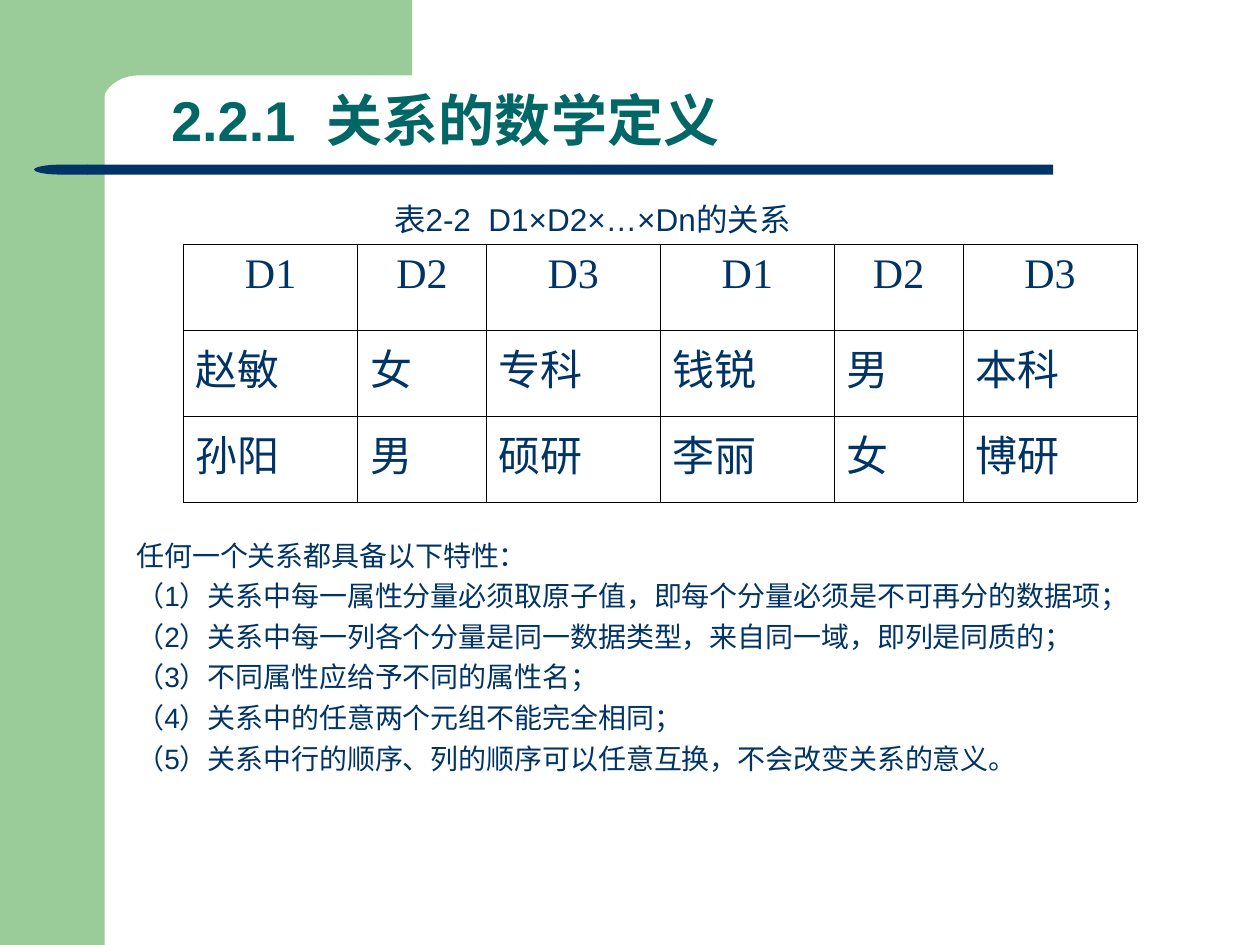
"""Builds a slide on the mathematical definition of a relation."""
import math

import lxml.etree
import pptx
import pptx.dml.color
import pptx.enum.shapes
import pptx.enum.text
import pptx.oxml.ns
import pptx.util

Cm = pptx.util.Cm
Pt = pptx.util.Pt
SHAPES = pptx.enum.shapes.MSO_SHAPE
ALIGN = pptx.enum.text.PP_ALIGN
ANCHOR = pptx.enum.text.MSO_ANCHOR

COLORS = {"green": "99CC99", "navy": "003366", "teal": "006666", "border": "000000"}
TITLE = "2.2.1  关系的数学定义"
CAPTION = "表2-2  D1×D2×…×Dn的关系"
RELATION = [
    ["D1", "D2", "D3", "D1", "D2", "D3"],
    ["赵敏", "女", "专科", "钱锐", "男", "本科"],
    ["孙阳", "男", "硕研", "李丽", "女", "博研"],
]
COLUMN_WIDTHS = [3.51, 2.59, 3.51] * 2
ROW_HEIGHT = 1.73
MIDDLE = 3
PROPERTIES = [
    "任何一个关系都具备以下特性：",
    "（1）关系中每一属性分量必须取原子值，即每个分量必须是不可再分的数据项；",
    "（2）关系中每一列各个分量是同一数据类型，来自同一域，即列是同质的；",
    "（3）不同属性应给予不同的属性名；",
    "（4）关系中的任意两个元组不能完全相同；",
    "（5）关系中行的顺序、列的顺序可以任意互换，不会改变关系的意义。",
]


def rgb(color):
    return pptx.dml.color.RGBColor.from_string(COLORS[color])


def paint(shape, color):
    shape.shadow.inherit = False
    shape.fill.solid()
    shape.fill.fore_color.rgb = rgb(color)
    shape.line.fill.background()


def add_block(shapes, preset, box, color):
    block = shapes.add_shape(preset, *map(Cm, box))
    paint(block, color)
    return block


def set_margins(target):
    target.margin_left = target.margin_right = Cm(0.25)
    target.margin_top = target.margin_bottom = Cm(0.13)


def style(paragraph, size, color="navy", font="Arial", bold=False):
    for run in paragraph.runs:
        run.font.size = Pt(size)
        run.font.name = font
        run.font.bold = bold
        run.font.color.rgb = rgb(color)


def add_text(slide, text, box, anchor, wrap=True):
    frame = slide.shapes.add_textbox(*map(Cm, box)).text_frame
    set_margins(frame)
    frame.word_wrap = wrap
    frame.vertical_anchor = anchor
    frame.text = text
    return frame


def add_border(cell, side, width):
    properties = cell._tc.get_or_add_tcPr()
    tag = pptx.oxml.ns.qn
    line = lxml.etree.SubElement(properties, tag("a:" + side), w=str(Pt(width)))
    fill = lxml.etree.SubElement(line, tag("a:solidFill"))
    lxml.etree.SubElement(fill, tag("a:srgbClr"), val=COLORS["border"])


def add_decoration(slide):
    add_block(slide.shapes, SHAPES.RECTANGLE, (0, 0, 2.11, 19.05), "green")
    curve = []
    for step in range(13):
        angle = math.pi / 2 * step / 12
        curve.append((2.8 - 0.74 * math.sin(angle), 2.12 - 0.6 * math.cos(angle)))
    outline = [(8.31, 1.52), *curve, (2.06, 2.31), (1.27, 2.31), (1.27, 0)]
    corner = slide.shapes.build_freeform(Cm(8.31), 0)
    corner.add_line_segments([(Cm(x), Cm(y)) for x, y in outline], close=True)
    paint(corner.convert_to_shape(), "green")

    rule = slide.shapes.add_group_shape().shapes
    bar = add_block(rule, SHAPES.ROUNDED_RECTANGLE, (1.75, 3.32, 19.48, 0.2), "navy")
    bar.adjustments[0] = 0
    tip = add_block(rule, SHAPES.FLOWCHART_DELAY, (0.69, 3.32, 1.08, 0.2), "navy")
    tip._element.spPr.xfrm.set("flipH", "1")


def add_relation(slide):
    box = (3.7, 4.93, sum(COLUMN_WIDTHS), ROW_HEIGHT * len(RELATION))
    table = slide.shapes.add_table(
        len(RELATION), len(COLUMN_WIDTHS), *map(Cm, box)
    ).table
    table.first_row = table.horz_banding = False
    for column, width in zip(table.columns, COLUMN_WIDTHS):
        column.width = Cm(width)
    for r, values in enumerate(RELATION):
        table.rows[r].height = Cm(ROW_HEIGHT)
        for c, value in enumerate(values):
            cell = table.cell(r, c)
            set_margins(cell)
            cell.text = value
            paragraph = cell.text_frame.paragraphs[0]
            paragraph.alignment = ALIGN.LEFT if r else ALIGN.CENTER
            style(paragraph, 24, font="Times New Roman")
            add_border(cell, "lnL", 0.96 if c == MIDDLE else 0.45)
            add_border(cell, "lnR", 0.96 if c == MIDDLE - 1 else 0.45)
            add_border(cell, "lnT", 0.45)
            add_border(cell, "lnB", 0.45)
            cell.fill.background()


def main():
    deck = pptx.Presentation()
    deck.slide_width, deck.slide_height = Cm(25.4), Cm(19.05)
    slide = deck.slides.add_slide(deck.slide_layouts[6])
    add_decoration(slide)

    title = add_text(slide, TITLE, (3.2, 1.83, 20.8, 1.4), ANCHOR.BOTTOM)
    title.paragraphs[0].line_spacing = 0.9
    style(title.paragraphs[0], 32, "teal", bold=True)

    body = add_text(
        slide, "\n".join(PROPERTIES), (2.5, 10.72, 21.41, 5), ANCHOR.TOP
    )
    for index, paragraph in enumerate(body.paragraphs):
        indent = paragraph._p.get_or_add_pPr()
        indent.set("marL", str(Cm(0.95)))
        indent.set("indent", str(Cm(-0.95)))
        if index:
            paragraph.space_before = Pt(4)
        style(paragraph, 16)

    add_relation(slide)
    caption = add_text(slide, CAPTION, (7.34, 3.91, 9.2, 1.02), ANCHOR.MIDDLE, False)
    caption.paragraphs[0].alignment = ALIGN.CENTER
    style(caption.paragraphs[0], 18)
    deck.save("out.pptx")


if __name__ == "__main__":
    main()
